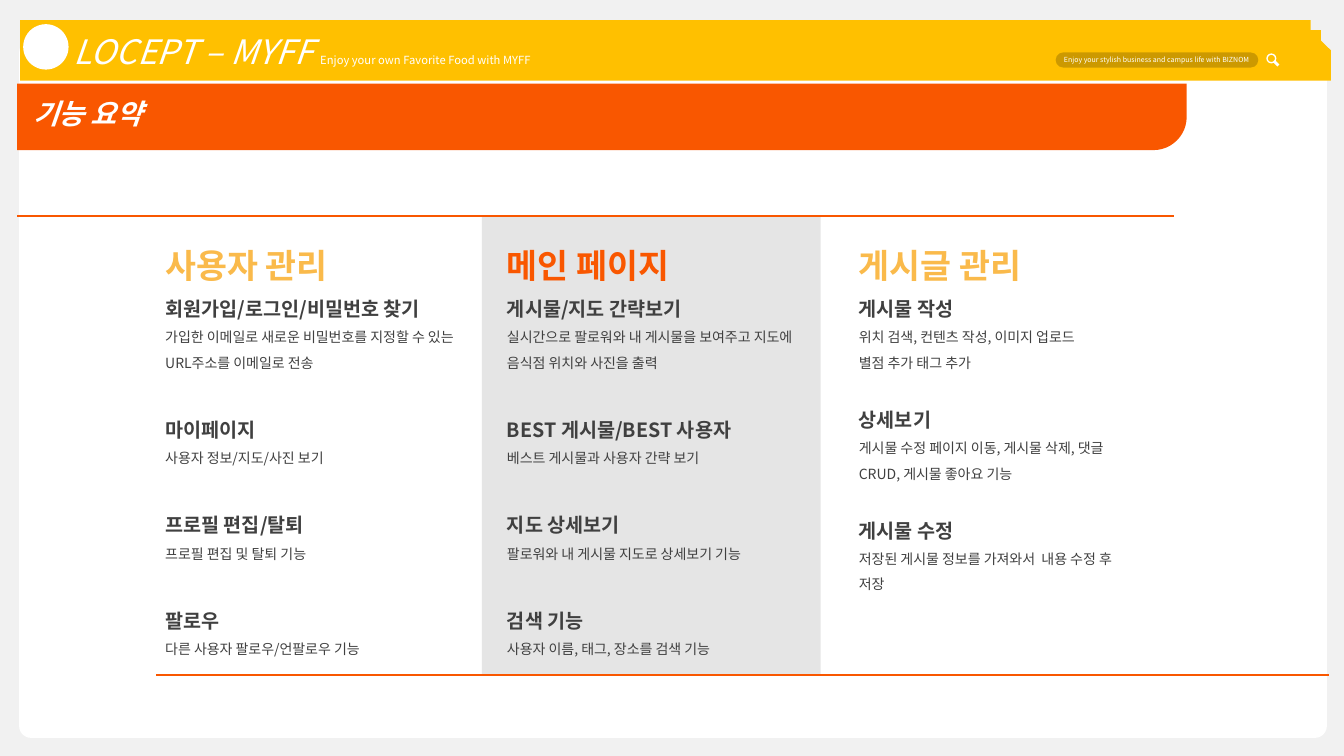
import math

from lxml import etree
from pptx import Presentation
from pptx import util as u
from pptx.dml.color import RGBColor
from pptx.enum import shapes, text
from pptx.oxml import ns

PAPER = RGBColor(0xF1, 0xF1, 0xF1)
WHITE = RGBColor(0xFF, 0xFF, 0xFF)
BLACK = RGBColor(0, 0, 0)
YELLOW = RGBColor(0xFF, 0xC0, 0x00)
ORANGE = RGBColor(0xF9, 0x57, 0x00)
AMBER = RGBColor(0xFA, 0xBA, 0x4B)
SILVER = RGBColor(0xBF, 0xBF, 0xBF)
INK = RGBColor(0x40, 0x40, 0x40)

FONT = "Noto Sans CJK KR"
CELL = 0.1  # inches per grid column and row
KIND = shapes.MSO_SHAPE


def cells(count):
    return u.Inches(count * CELL)


def write(para, words, size=10, color=INK, bold=False, italic=False):
    span = para.add_run()
    span.text = words
    font = span.font
    font.name, font.size, font.bold, font.italic = FONT, u.Pt(size), bold, italic
    font.color.rgb = color
    asian = etree.SubElement(font._element, ns.qn("a:ea"))
    asian.set("typeface", FONT)


class Page:
    """Draws on one slide; every length counts grid cells."""

    def __init__(self, deck):
        self.slide = deck.slides.add_slide(deck.slide_layouts[6])
        fill = self.slide.background.fill
        fill.solid()
        fill.fore_color.rgb = PAPER

    def paint(self, shape, color, opacity=100):
        shape.shadow.inherit = False
        shape.line.fill.background()
        shape.fill.solid()
        shape.fill.fore_color.rgb = color
        if opacity < 100:
            tint = shape._element.spPr.find(".//" + ns.qn("a:srgbClr"))
            etree.SubElement(tint, ns.qn("a:alpha")).set("val", str(opacity * 1000))
        return shape

    def shape(self, kind, area, color, corner=None, opacity=100):
        shape = self.slide.shapes.add_shape(kind, *map(cells, area))
        if corner is not None:
            shape.adjustments[0] = corner
        return self.paint(shape, color, opacity)

    def outline(self, points, color):
        builder = self.slide.shapes.build_freeform(*points[0], scale=cells(1))
        builder.add_line_segments(points[1:], close=True)
        return self.paint(builder.convert_to_shape(), color)

    def line(self, start, end, color, width):
        line = self.slide.shapes.add_connector(
            shapes.MSO_CONNECTOR.STRAIGHT, *map(cells, start + end))
        line.line.color.rgb = color
        line.line.width = u.Pt(width)
        etree.SubElement(line._element.spPr, ns.qn("a:effectLst"))

    def box(self, area, middle=False, grow=True):
        frame = self.slide.shapes.add_textbox(*map(cells, area)).text_frame
        frame.word_wrap = True
        if middle:
            frame.vertical_anchor = text.MSO_ANCHOR.MIDDLE
        if grow:
            frame.auto_size = text.MSO_AUTO_SIZE.SHAPE_TO_FIT_TEXT
        return frame

    def feature_column(self, area, title, color, features, gap):
        frame = self.box(area)
        para = frame.paragraphs[0]
        para.line_spacing = 1.5
        write(para, title, size=24, color=color, bold=True)
        for index, (heading, *details) in enumerate(features):
            for row, words in enumerate([heading, *details]):
                para = frame.add_paragraph()
                para.line_spacing = 1.5
                if row == 0 and index:
                    para.space_before = u.Pt(gap)
                write(para, words, size=10 if row else 14, bold=row == 0)


def arc(center_x, center_y, radius, start):
    """Points of a clockwise quarter circle."""
    angles = [math.radians(start + step * 5) for step in range(19)]
    return [(center_x + radius * math.cos(a), center_y + radius * math.sin(a))
            for a in angles]


COLUMNS = [
    ((15.4, 21.8, 31.1, 44.5), "사용자 관리", AMBER, [
        ("회원가입/로그인/비밀번호 찾기",
         "가입한 이메일로 새로운 비밀번호를 지정할 수 있는 URL주소를 이메일로 전송"),
        ("마이페이지", "사용자 정보/지도/사진 보기"),
        ("프로필 편집/탈퇴", "프로필 편집 및 탈퇴 기능"),
        ("팔로우", "다른 사용자 팔로우/언팔로우 기능"),
    ], 25),
    ((49.3, 21.8, 30.8, 44.4), "메인 페이지", ORANGE, [
        ("게시물/지도 간략보기",
         "실시간으로 팔로워와 내 게시물을 보여주고 지도에 음식점 위치와 사진을 출력"),
        ("BEST 게시물/BEST 사용자", "베스트 게시물과 사용자 간략 보기"),
        ("지도 상세보기", "팔로워와 내 게시물 지도로 상세보기 기능"),
        ("검색 기능", "사용자 이름, 태그, 장소를 검색 기능"),
    ], 25),
    ((84.2, 21.8, 28, 38), "게시글 관리", AMBER, [
        ("게시물 작성", "위치 검색, 컨텐츠 작성, 이미지 업로드", "별점 추가 태그 추가"),
        ("상세보기",
         "게시물 수정 페이지 이동, 게시물 삭제, 댓글 CRUD, 게시물 좋아요 기능"),
        ("게시물 수정", "저장된 게시물 정보를 가져와서  내용 수정 후 저장"),
    ], 18),
]


def main():
    deck = Presentation()
    deck.slide_width, deck.slide_height = u.Inches(13.33), u.Inches(7.5)
    page = Page(deck)

    # Window and header band
    page.shape(KIND.ROUNDED_RECTANGLE, (1.9, 4, 129.7, 69.2), WHITE, corner=0.017)
    page.outline(arc(2.8, 2.9, 1.1, 180) + arc(128.3, 5.1, 3.3, 270)
                 + [(131.6, 8.4), (1.7, 8.4)], YELLOW)
    para = page.box((6.3, 2.6, 66.5, 7.7)).paragraphs[0]
    write(para, "LOCEPT – MYFF ", size=24, color=WHITE, italic=True)
    write(para, "Enjoy your own Favorite Food with MYFF", size=8, color=WHITE)
    page.shape(KIND.OVAL, (2.3, 2.4, 4.5, 4.5), WHITE)

    # Title band
    band = page.shape(KIND.ROUND_1_RECTANGLE, (1.7, 8.3, 116, 6.6), ORANGE, corner=0.5)
    band._element.spPr.find(ns.qn("a:xfrm")).set("flipV", "1")

    # Search field with magnifier
    field = page.shape(KIND.ROUNDED_RECTANGLE, (104.7, 5.2, 20.1, 1.5), BLACK,
                       corner=0.5, opacity=20).text_frame
    field.word_wrap = False
    field.vertical_anchor = text.MSO_ANCHOR.MIDDLE
    field.paragraphs[0].alignment = text.PP_ALIGN.CENTER
    write(field.paragraphs[0], "Enjoy your stylish business and campus life with BIZNOM",
          size=5, color=WHITE)
    page.shape(KIND.DONUT, (125.6, 5.3, 1, 1), WHITE, corner=0.14)
    page.line((126.4, 6.1), (126.8, 6.5), WHITE, 2)

    # Feature columns between two rules
    page.shape(KIND.RECTANGLE, (47.8, 21.4, 33.6, 45.6), SILVER, opacity=40)
    page.line((1.7, 21.4), (116.4, 21.4), ORANGE, 1.5)
    page.line((15.5, 67), (131.8, 67), ORANGE, 1.5)
    for column in COLUMNS:
        page.feature_column(*column)

    # Slide title
    para = page.box((2.3, 8.3, 76.3, 6.3), middle=True, grow=False).paragraphs[0]
    para.line_spacing = 0.9
    write(para, "기능 요약", size=20, color=WHITE, bold=True, italic=True)

    deck.save("out.pptx")


if __name__ == "__main__":
    main()
